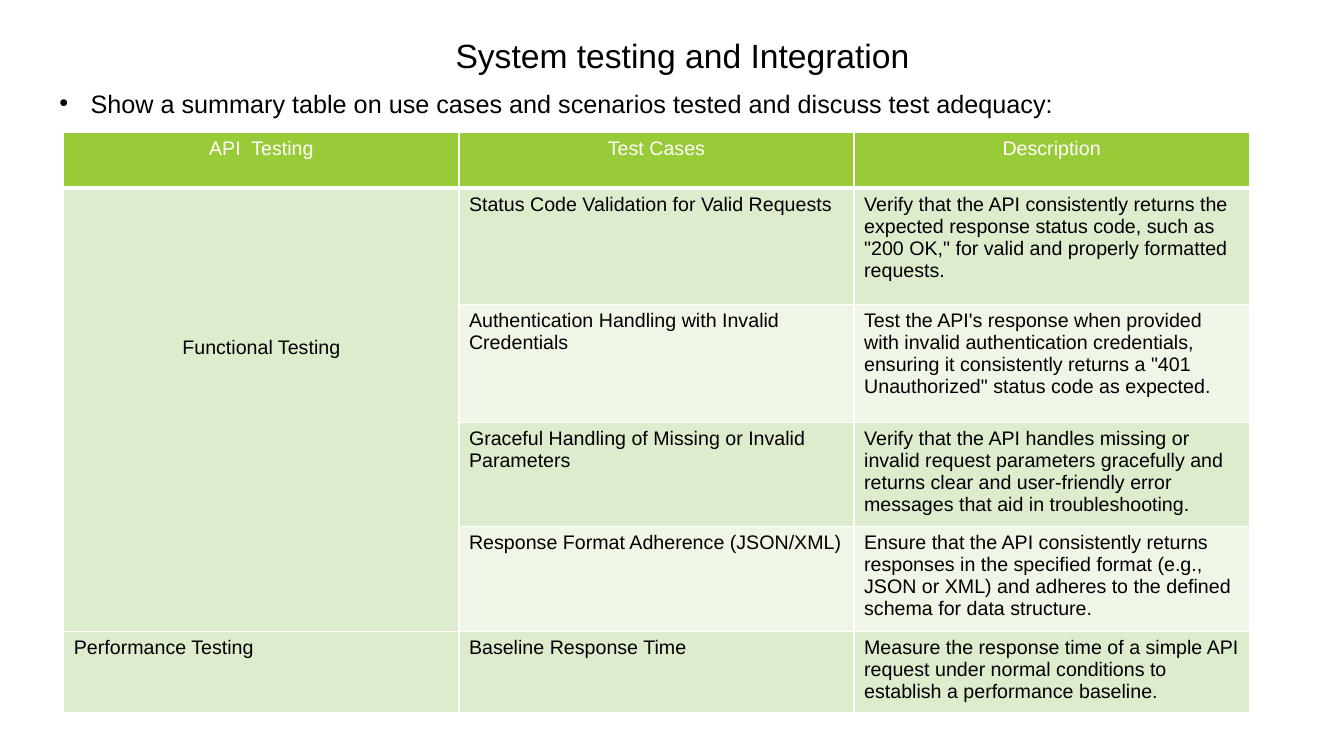
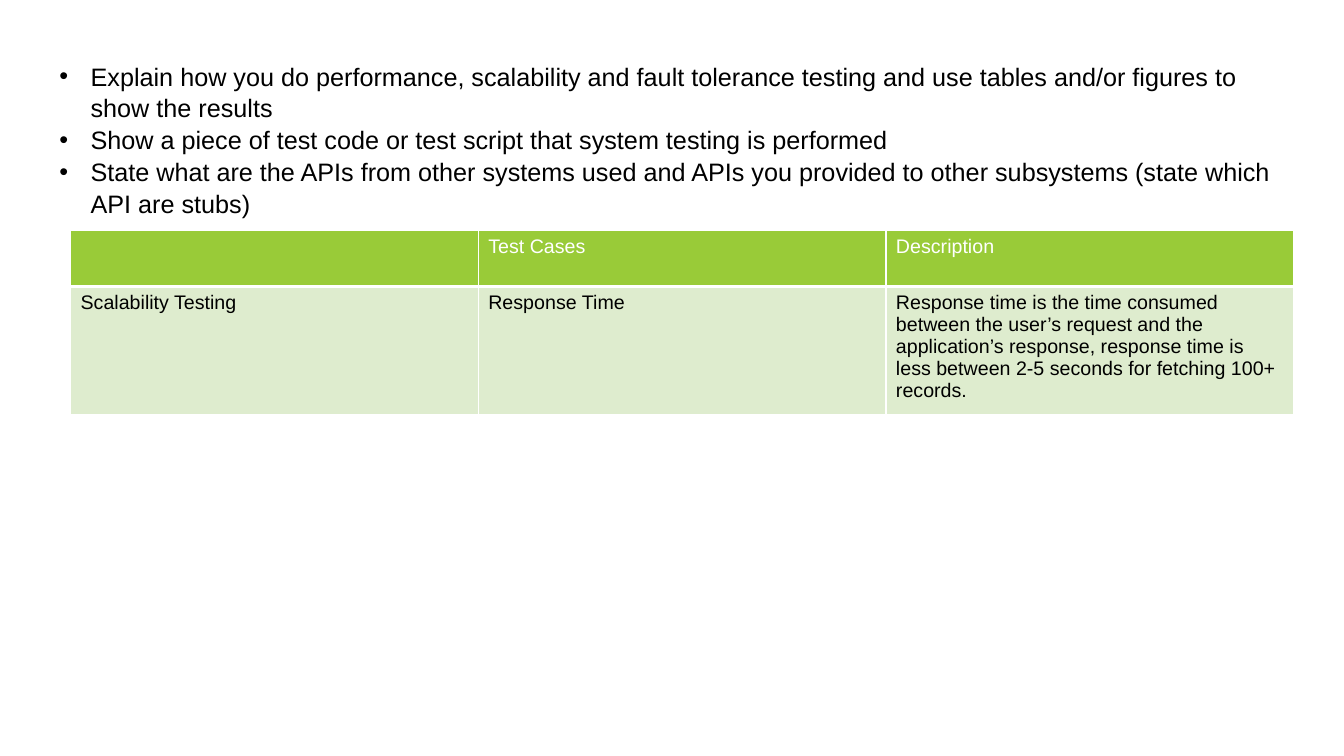
from dataclasses import dataclass

from lxml.etree import SubElement
from pptx import Presentation
from pptx.dml.color import RGBColor as Rgb
from pptx.enum.text import PP_ALIGN as Align
from pptx.oxml.ns import qn
from pptx.util import Inches, Pt

WIDTH, HEIGHT = Inches(13.33), Inches(7.5)


@dataclass(frozen=True)
class Theme:
    font: str = "Arial"
    text: str = "000000"
    light: str = "FFFFFF"
    header: str = "99CB38"
    bands: tuple = ("EFF6E8", "DEECCE")
    title_size: int = 24
    bullet_size: int = 18
    cell_size: int = 14
    thin: int = 1
    thick: int = 3
    indent: float = 0.31
    bullet_spacing: float = 1.05


THEME = Theme()


@dataclass(frozen=True)
class Box:
    """A region in percent of the slide's width and height."""
    left: float
    top: float
    width: float
    height: float

    def place(self):
        return (across(self.left), down(self.top),
                across(self.width), down(self.height))


def across(percent):
    return round(WIDTH * percent / 100)


def down(percent):
    return round(HEIGHT * percent / 100)


def write(para, text, size, color=THEME.text, **layout):
    for name, value in layout.items():
        setattr(para, name, value)
    span = para.add_run()
    span.text = text
    for name, value in {"name": THEME.font, "size": Pt(size)}.items():
        setattr(span.font, name, value)
    span.font.color.rgb = Rgb.from_string(color)


def add_text(page, box, lines, size, **layout):
    frame = page.shapes.add_textbox(*box.place()).text_frame
    frame.word_wrap = True
    for index, line in enumerate(lines):
        para = frame.add_paragraph() if index else frame.paragraphs[0]
        write(para, line, size, **layout)
    return frame


def add_title(page, box, title):
    add_text(page, box, [title], THEME.title_size, alignment=Align.CENTER)


def add_bullets(page, box, lines):
    frame = add_text(page, box, lines, THEME.bullet_size,
                     line_spacing=THEME.bullet_spacing)
    indent = Inches(THEME.indent)
    for para in frame.paragraphs:
        props = para._p.get_or_add_pPr()
        props.set("marL", str(indent))
        props.set("indent", str(-indent))
        SubElement(props, qn("a:buFont"), typeface=THEME.font)
        SubElement(props, qn("a:buChar"), char="•")


def add_borders(cell, **widths):
    props = cell._tc.get_or_add_tcPr()
    for side in "LRTB":
        line = SubElement(props, qn(f"a:ln{side}"),
                          w=str(Pt(widths.get(side, THEME.thin))))
        SubElement(SubElement(line, qn("a:solidFill")),
                   qn("a:srgbClr"), val=THEME.light)


def style_cell(cell, row):
    """Draw the borders and fill; a thick rule parts header and body."""
    add_borders(cell, **{0: {"B": THEME.thick}, 1: {"T": THEME.thick}}.get(row, {}))
    cell.fill.solid()
    color = THEME.bands[row % 2] if row else THEME.header
    cell.fill.fore_color.rgb = Rgb.from_string(color)


def add_table(page, box, rows, heights, header_align=Align.LEFT):
    """Fill a table of equal columns; heights are percent of the slide."""
    table = page.shapes.add_table(len(rows), len(rows[0]), *box.place()).table
    for column in table.columns:
        column.width = across(box.width / len(rows[0]))
    for index, (texts, height) in enumerate(zip(rows, heights)):
        table.rows[index].height = down(height)
        for cell, text in zip(table.rows[index].cells, texts):
            style_cell(cell, index)
            if text:
                write(cell.text_frame.paragraphs[0], text, THEME.cell_size,
                      color=THEME.text if index else THEME.light,
                      alignment=Align.LEFT if index else header_align)
    return table


def merge_group(table, first, last, offset):
    """Join first-column rows and set their label below the top edge."""
    group = table.cell(first, 0)
    group.merge(table.cell(last, 0))
    group.margin_top = down(offset)
    group.text_frame.paragraphs[0].alignment = Align.CENTER


API_TESTS = [
    ("API  Testing", "Test Cases", "Description"),
    ("Functional Testing", "Status Code Validation for Valid Requests",
     "Verify that the API consistently returns the expected response status "
     'code, such as "200 OK," for valid and properly formatted requests.'),
    ("", "Authentication Handling with Invalid Credentials",
     "Test the API's response when provided with invalid authentication "
     'credentials, ensuring it consistently returns a "401 Unauthorized" '
     "status code as expected."),
    ("", "Graceful Handling of Missing or Invalid Parameters",
     "Verify that the API handles missing or invalid request parameters "
     "gracefully and returns clear and user-friendly error messages that aid "
     "in troubleshooting."),
    ("", "Response Format Adherence (JSON/XML)",
     "Ensure that the API consistently returns responses in the specified "
     "format (e.g., JSON or XML) and adheres to the defined schema for data "
     "structure."),
    ("Performance Testing", "Baseline Response Time",
     "Measure the response time of a simple API request under normal "
     "conditions to establish a performance baseline."),
]

SCALABILITY_TESTS = [
    ("", "Test Cases", "Description"),
    ("Scalability Testing", "Response Time",
     "Response time is the time consumed between the user’s request and the "
     "application’s response, response time is less between 2-5 seconds for "
     "fetching 100+ records."),
]

TASKS = [
    "Explain how you do performance, scalability and fault tolerance testing "
    "and use tables and/or figures to show the results",
    "Show a piece of test code or test script that system testing is performed",
    "State what are the APIs from other systems used and APIs you provided to "
    "other subsystems (state which API are stubs)",
]


def build_summary(page):
    add_title(page, Box(13.13, 4, 75.3, 6.7), "System testing and Integration")
    add_bullets(page, Box(3.68, 10.8, 89.2, 5.3), [
        "Show a summary table on use cases and scenarios tested and discuss "
        "test adequacy:"])
    table = add_table(page, Box(4.75, 17.5, 88.2, 76.7), API_TESTS,
                      (7.4, 15.4, 15.6, 13.8, 13.9, 10.6), Align.CENTER)
    merge_group(table, 1, 4, 19.6)


def build_scalability(page):
    add_bullets(page, Box(3.68, 7.2, 92.7, 25.6), TASKS)
    add_table(page, Box(5.25, 30.5, 91, 24.3), SCALABILITY_TESTS, (7.4, 16.9))


def main():
    deck = Presentation()
    deck.slide_width, deck.slide_height = WIDTH, HEIGHT
    for build in (build_summary, build_scalability):
        build(deck.slides.add_slide(deck.slide_layouts[6]))
    deck.save("out.pptx")


if __name__ == "__main__":
    main()
